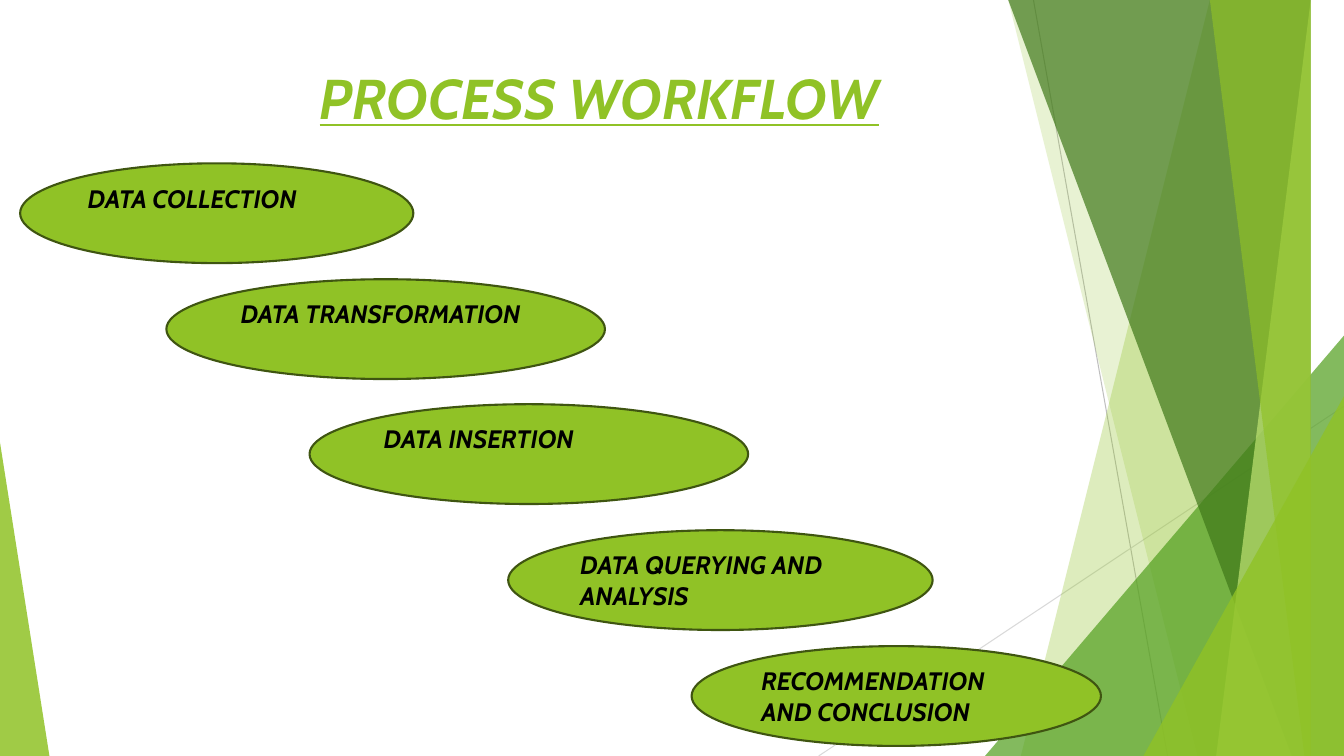
"""Build the process workflow slide with five staggered steps."""
from lxml import etree
from pptx import Presentation, util as u
from pptx.dml.color import RGBColor
from pptx.enum import shapes as sh, text as tx
from pptx.oxml.ns import qn

HUES = {"lime": "90C226", "green": "54A021", "dark": "3F7819", "pale": "C0E474",
        "edge": "3F5511", "ink": "000000", "gray": "BFBFBF", "mist": "D9D9D9"}


def write(shape, words, size=18, hue="ink", line=False):
    frame = shape.text_frame
    frame.word_wrap = True
    frame.auto_size = tx.MSO_AUTO_SIZE.NONE
    frame.vertical_anchor = tx.MSO_ANCHOR.TOP
    para = frame.paragraphs[0]
    para.alignment = tx.PP_ALIGN.LEFT
    run = para.add_run()
    run.text = words
    font = run.font
    font.name, font.size = "Cabin", u.Pt(size)
    font.bold = font.italic = True
    font.underline = line
    font.color.rgb = RGBColor.from_string(HUES[hue])


def paint(shape, hue, alpha=100):
    shape.shadow.inherit = False
    shape.fill.solid()
    shape.fill.fore_color.rgb = RGBColor.from_string(HUES[hue])
    if alpha < 100:
        tone = shape.fill._xPr.find(qn("a:solidFill"))[0]
        etree.SubElement(tone, qn("a:alpha")).set("val", str(alpha * 1000))
        shape.line.fill.background()


deck = Presentation()
deck.slide_width, deck.slide_height = u.Inches(13.33), u.Inches(7.5)
slide = deck.slides.add_slide(deck.slide_layouts[5])
items = slide.shapes

rays = [(10.25, 0, 11.58, 7.5, "gray"), (13.33, 4.03, 8.12, 7.5, "mist")]
for x1, y1, x2, y2, hue in rays:
    ray = items.add_connector(sh.MSO_CONNECTOR.STRAIGHT, *map(u.Inches, (x1, y1, x2, y2)))
    ray.line.color.rgb = RGBColor.from_string(HUES[hue])
    ray.line.width = u.Pt(0.75)
    etree.SubElement(ray._element.spPr, qn("a:effectLst"))

facets = [
    ("band", (12.28, 10.04), "lime", 30),
    ("band", (10.5, 11.83), "lime", 20),
    ("wedge", (9.77, 3.33, 3.56, 4.17, 1), "green", 72),
    ("band", (10.21, 12.91), "dark", 70),
    ("band", (13.03, 11.92), "pale", 70),
    ("band", (11.96, 13.18), "lime", 65),
    ("wedge", (11.34, 3.93, 1.99, 3.57, 1), "lime", 80),
    ("wedge", (0, 4.39, 0.49, 3.11, 0), "lime", 85),
]
for kind, spot, hue, alpha in facets:
    if kind == "band":
        top, foot = spot
        pen = items.build_freeform(top, -0.01, scale=u.Inches(1))
        pen.add_line_segments([(13.33, -0.01), (13.33, 7.5), (foot, 7.5)])
        facet = pen.convert_to_shape()
    else:
        *box, peak = spot
        facet = items.add_shape(sh.MSO_SHAPE.ISOSCELES_TRIANGLE, *map(u.Inches, box))
        facet.adjustments[0] = peak
    paint(facet, hue, alpha)

title = items.title
title.left, title.top, title.width, title.height = map(u.Inches, (3.07, 0.58, 8.63, 1.44))
write(title, "PROCESS WORKFLOW", size=40, hue="lime", line=True)

steps = [
    (0.2, 1.62, 3.9, "DATA COLLECTION"),
    (1.65, 2.77, 4.35, "DATA TRANSFORMATION"),
    (3.07, 4.01, 4.35, "DATA INSERTION"),
    (5.04, 5.26, 4.21, "DATA QUERYING AND ANALYSIS"),
    (6.86, 6.41, 4.06, "RECOMMENDATION AND CONCLUSION"),
]
for left, top, width, words in steps:
    step = items.add_shape(sh.MSO_SHAPE.OVAL, *map(u.Inches, (left, top, width, 0.99)))
    paint(step, "lime")
    step.line.color.rgb = RGBColor.from_string(HUES["edge"])
    step.line.width = u.Pt(1.5)
    write(step, words)

deck.save("out.pptx")
